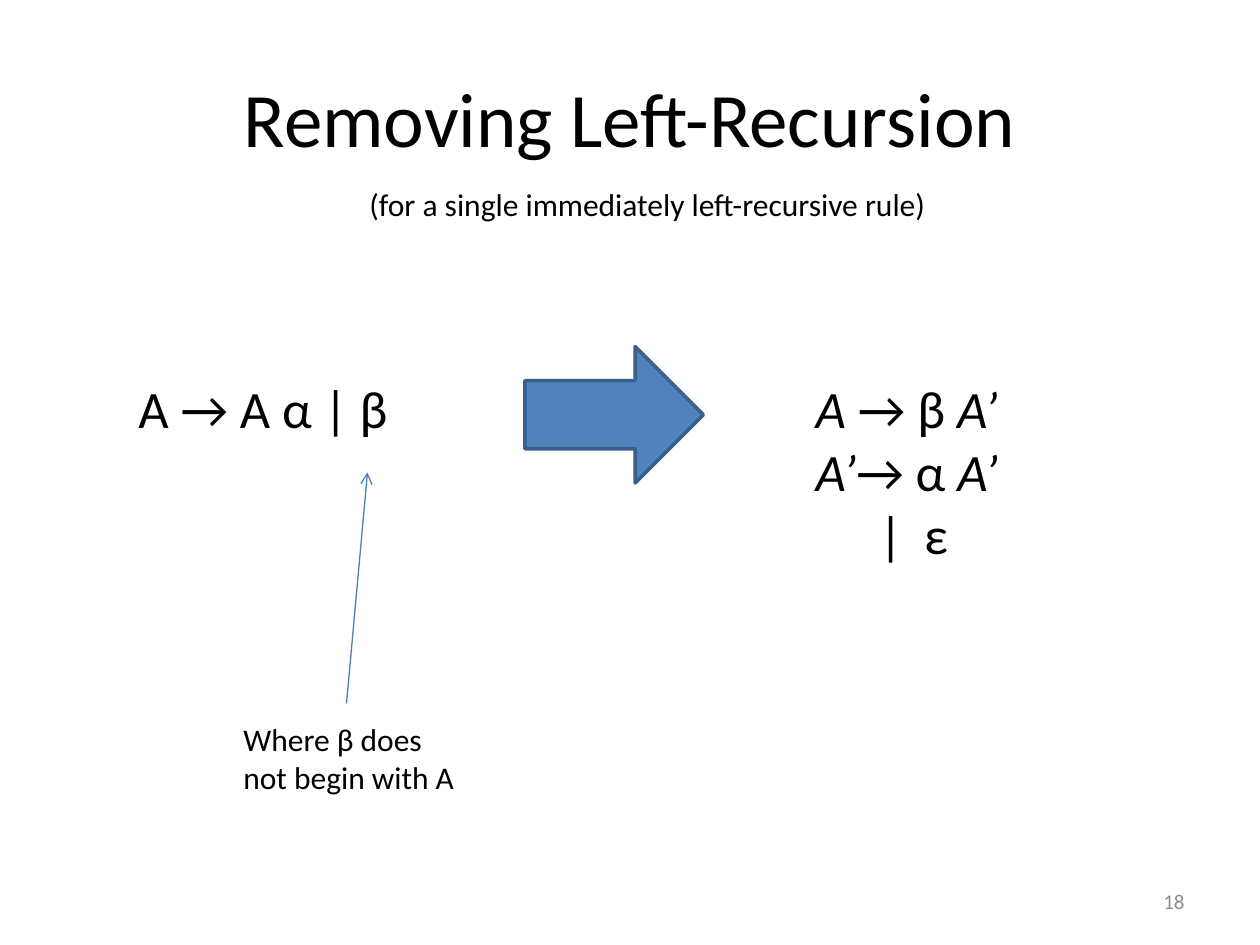
import pptx
import pptx.util
from lxml import etree
from pptx.dml.color import RGBColor
from pptx.enum.shapes import MSO_CONNECTOR, MSO_SHAPE
from pptx.enum.text import MSO_ANCHOR, PP_ALIGN
from pptx.oxml.ns import qn

BLACK = RGBColor(0x00, 0x00, 0x00)
GREY = RGBColor(0x8C, 0x8C, 0x8C)
BLUE = RGBColor(0x4F, 0x81, 0xBD)
DARK_BLUE = RGBColor(0x3A, 0x5F, 0x8C)
LINE_BLUE = RGBColor(0x4B, 0x7E, 0xBC)

COLS, ROWS = 120, 90
WIDTH, HEIGHT = pptx.util.Inches(10), pptx.util.Inches(7.5)


def grid(col, row, cols=0, rows=0):
    """Turn grid columns and rows into left, top, width and height."""
    return [round(v) for v in (col * WIDTH / COLS, row * HEIGHT / ROWS,
                               cols * WIDTH / COLS, rows * HEIGHT / ROWS)]


def set_text(tf, paragraphs, size=18, color=BLACK, align=PP_ALIGN.LEFT,
             anchor=MSO_ANCHOR.TOP, wrap=True):
    """Fill a text frame; a paragraph is a list of (text, italic) runs."""
    tf.word_wrap = wrap
    tf.vertical_anchor = anchor
    for i, runs in enumerate(paragraphs):
        p = tf.add_paragraph() if i else tf.paragraphs[0]
        p.alignment = align
        for text, italic in runs:
            r = p.add_run()
            r.text = text
            r.font.name, r.font.size = "Calibri", pptx.util.Pt(size)
            r.font.italic = italic
            r.font.color.rgb = color


def add_text(s, box, paragraphs, **fmt):
    tf = s.shapes.add_textbox(*grid(*box)).text_frame
    set_text(tf, paragraphs, **fmt)
    return tf


def add_heading(s, box):
    col, row, cols, rows = box
    title = s.shapes.title
    title.left, title.top, title.width, title.height = grid(*box)
    set_text(title.text_frame, [[("Removing Left-Recursion", False)]], size=44,
             align=PP_ALIGN.CENTER, anchor=MSO_ANCHOR.MIDDLE)
    add_text(s, (col + 28, row + 13.4, 60, 4.8),
             [[("(for a single immediately left-recursive rule)", False)]])


def add_tab_stops(p, *inches):
    tabs = etree.SubElement(p._p.get_or_add_pPr(), qn("a:tabLst"))
    for pos in inches:
        etree.SubElement(tabs, qn("a:tab"), pos=str(pptx.util.Inches(pos)), algn="l")


def add_rewrite(s, box):
    """Place the rule, the block arrow and the rewritten rules side by side."""
    col, row, cols, rows = box
    rule_row = row + 2.25
    add_text(s, (col, rule_row, 26.4, 7.3), [[("A → A α | β", False)]],
             size=30, wrap=False)
    arrow = s.shapes.add_shape(MSO_SHAPE.RIGHT_ARROW, *grid(col + 38, row, 17, 13))
    arrow.shadow.inherit = False
    arrow.fill.solid()
    arrow.fill.fore_color.rgb = BLUE
    arrow.line.color.rgb = DARK_BLUE
    arrow.line.width = pptx.util.Pt(2)
    tf = add_text(s, (col + 64.5, rule_row, 20, rows - 2.25), [
        [("A", True), (" → β ", False), ("A’", True)],
        [("A’", True), ("→ α ", False), ("A’", True)],
        [("\t|\tε", False)],
    ], size=30, wrap=False)
    add_tab_stops(tf.paragraphs[2], 0.5, 0.86)


def add_condition(s, box):
    """Place the side condition with an arrow up to the β it explains."""
    col, row, cols, rows = box
    x1, y1 = grid(col + 11, row + 22)[:2]
    x2, y2 = grid(col + 13, row)[:2]
    line = s.shapes.add_connector(MSO_CONNECTOR.STRAIGHT, x1, y1, x2, y2)
    line.line.color.rgb = LINE_BLUE
    line.line.width = pptx.util.Pt(0.75)
    etree.SubElement(line.line._get_or_add_ln(), qn("a:tailEnd"), type="arrow")
    etree.SubElement(line._element.spPr, qn("a:effectLst"))
    add_text(s, (col, row + 23, cols, rows - 23),
             [[("Where β does", False)], [("not begin with A", False)]], wrap=False)


def add_page_number(s, box):
    add_text(s, box, [[("18", False)]], size=12, color=GREY,
             align=PP_ALIGN.RIGHT, anchor=MSO_ANCHOR.MIDDLE)


def main():
    prs = pptx.Presentation()
    prs.slide_width, prs.slide_height = WIDTH, HEIGHT
    s = prs.slides.add_slide(prs.slide_layouts[5])
    add_heading(s, (6, 3.6, 108, 15))
    add_rewrite(s, (12, 33, 85, 21.7))
    add_condition(s, (22, 45, 22.8, 31.5))
    add_page_number(s, (86, 83.4, 28, 4.8))
    prs.save("out.pptx")


if __name__ == "__main__":
    main()
